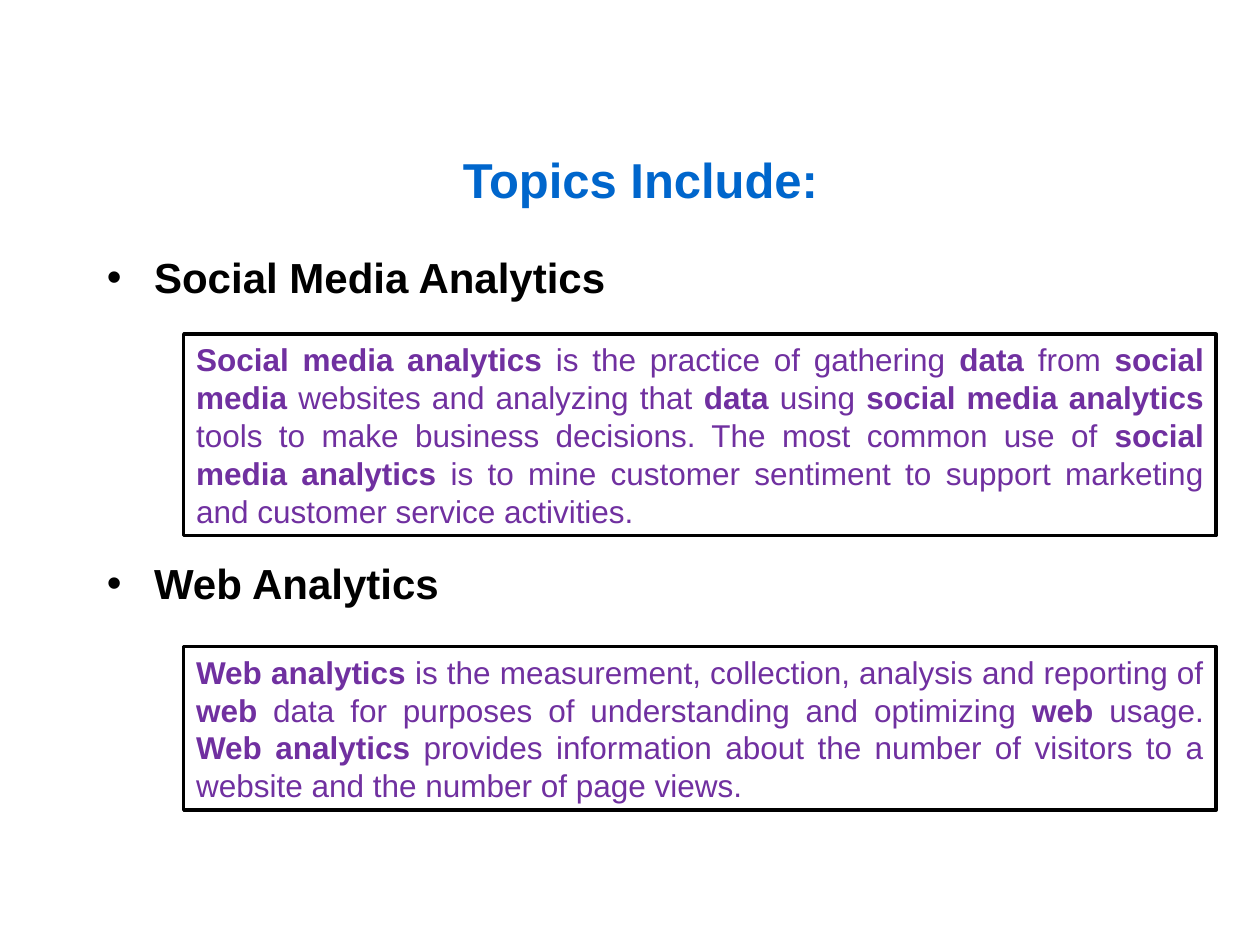
from pptx import Presentation
from pptx.dml.color import RGBColor
from pptx.enum.shapes import MSO_SHAPE
from pptx.enum.text import MSO_ANCHOR, PP_ALIGN
from pptx.oxml.ns import qn
from pptx.util import Pt
from lxml.etree import SubElement

BLUE = RGBColor(0x00, 0x66, 0xCC)
PURPLE = RGBColor(0x70, 0x30, 0xA0)
BLACK = RGBColor(0, 0, 0)


def style(span, size, color, bold=True):
    span.font.name = "Arial"
    span.font.size = Pt(size)
    span.font.bold = bold
    span.font.color.rgb = color


deck = Presentation()
deck.slide_width, deck.slide_height = Pt(720), Pt(540)
page = deck.slides.add_slide(deck.slide_layouts[5])

# Title
title = page.shapes.title
title.left, title.top, title.width, title.height = Pt(60), Pt(84), Pt(612), Pt(36)
title.text_frame.text = "Topics Include:"
title.text_frame.vertical_anchor = MSO_ANCHOR.MIDDLE
title.text_frame.paragraphs[0].alignment = PP_ALIGN.CENTER
style(title.text_frame.paragraphs[0].runs[0], 28, BLUE)

# Bulleted topics, spaced to leave room for the first definition
topics = page.shapes.add_textbox(Pt(54), Pt(144), Pt(612), Pt(324))
frame = topics.text_frame
frame.word_wrap = True
frame.margin_top = 0
frame.text = "Social Media Analytics\nWeb Analytics"
for para, gap in zip(frame.paragraphs, (6, 146)):
    para.space_before = Pt(gap)
    style(para.runs[0], 24, BLACK)
    properties = para._p.get_or_add_pPr()
    properties.set("marL", str(Pt(27)))
    properties.set("indent", str(Pt(-27)))
    SubElement(properties, qn("a:buFont"), typeface="Arial")
    SubElement(properties, qn("a:buChar"), char="•")

# Framed definitions: top, height, and pieces that alternate bold and regular
definitions = [
    (191, 115, [
        "Social media analytics", " is the practice of gathering ",
        "data", " from ",
        "social media", " websites and analyzing that ",
        "data", " using ",
        "social media analytics",
        " tools to make business decisions. The most common use of ",
        "social media analytics",
        " is to mine customer sentiment to support marketing"
        " and customer service activities.",
    ]),
    (369.5, 93.5, [
        "Web analytics",
        " is the measurement, collection, analysis and reporting of ",
        "web", " data for purposes of understanding and optimizing ",
        "web", " usage. ",
        "Web analytics",
        " provides information about the number of visitors to a website"
        " and the number of page views.",
    ]),
]
for top, height, pieces in definitions:
    box = page.shapes.add_shape(MSO_SHAPE.RECTANGLE, Pt(105), Pt(top), Pt(590), Pt(height))
    box.shadow.inherit = False
    box.fill.background()
    box.line.color.rgb = BLACK
    box.line.width = Pt(2)
    box.text_frame.word_wrap = True
    box.text_frame.vertical_anchor = MSO_ANCHOR.TOP
    para = box.text_frame.paragraphs[0]
    para.alignment = PP_ALIGN.JUSTIFY
    for index, piece in enumerate(pieces):
        span = para.add_run()
        span.text = piece
        style(span, 18, PURPLE, bold=index % 2 == 0)

deck.save("out.pptx")
